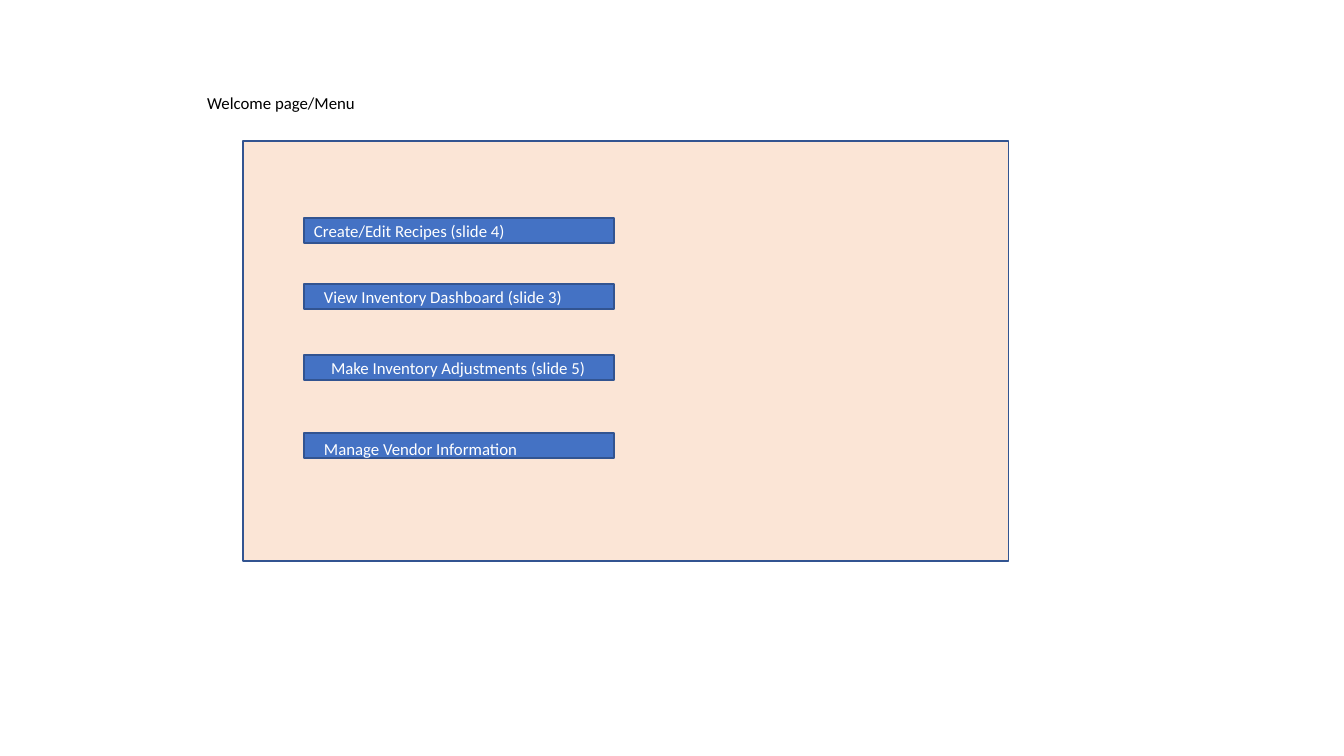
from pptx import Presentation
from pptx import util as u
from pptx.dml.color import RGBColor
from pptx.enum import shapes, text

PIXEL = u.Inches(1) / 100.8

BLACK = RGBColor(0x00, 0x00, 0x00)
WHITE = RGBColor(0xFF, 0xFF, 0xFF)
PEACH = RGBColor(0xFB, 0xE5, 0xD6)
BLUE = RGBColor(0x44, 0x72, 0xC4)
DARK_BLUE = RGBColor(0x32, 0x54, 0x91)

BUTTON_LEFT, BUTTON_WIDTH, BUTTON_HEIGHT = 304, 310, 25
LABEL_HEIGHT = 30


def add_box(slide, left, top, width, height, fill):
    """Add a filled rectangle with a thin dark blue outline."""
    box = slide.shapes.add_shape(
        shapes.MSO_SHAPE.RECTANGLE,
        *(u.Emu(round(value * PIXEL)) for value in (left, top, width, height)))
    box.shadow.inherit = False
    box.fill.solid()
    box.fill.fore_color.rgb = fill
    box.line.color.rgb = DARK_BLUE
    box.line.width = u.Pt(1)


def set_label(shape, left, top, width, words, color):
    """Place a text shape and give it one left-aligned line of text."""
    shape.left, shape.top, shape.width, shape.height = (
        u.Emu(round(value * PIXEL)) for value in (left, top, width, LABEL_HEIGHT))
    frame = shape.text_frame
    frame.text = words
    frame.word_wrap = True
    frame.auto_size = text.MSO_AUTO_SIZE.SHAPE_TO_FIT_TEXT
    frame.vertical_anchor = text.MSO_ANCHOR.TOP
    paragraph = frame.paragraphs[0]
    paragraph.alignment = text.PP_ALIGN.LEFT
    paragraph.font.name = "Calibri"
    paragraph.font.size = u.Pt(12)
    paragraph.font.color.rgb = color


presentation = Presentation()
presentation.slide_width = u.Inches(13.33)
presentation.slide_height = u.Inches(7.5)
slide = presentation.slides.add_slide(presentation.slide_layouts.get_by_name("Title Only"))

set_label(slide.shapes.title, 197, 88, 974, "Welcome page/Menu", BLACK)
add_box(slide, 243, 141, 765, 420, PEACH)

# Button top, then label left, top, width and words
menu = [
    (218, 304, 216, 246, "Create/Edit Recipes (slide 4)"),
    (284, 314, 282, 285, "View Inventory Dashboard (slide 3)"),
    (355, 321, 353, 278, "Make Inventory Adjustments (slide 5)"),
    (433, 314, 434, 244, "Manage Vendor Information"),
]
for button_top, label_left, label_top, label_width, words in menu:
    add_box(slide, BUTTON_LEFT, button_top, BUTTON_WIDTH, BUTTON_HEIGHT, BLUE)
    label = slide.shapes.add_textbox(0, 0, 0, 0)
    set_label(label, label_left, label_top, label_width, words, WHITE)

presentation.save("out.pptx")
